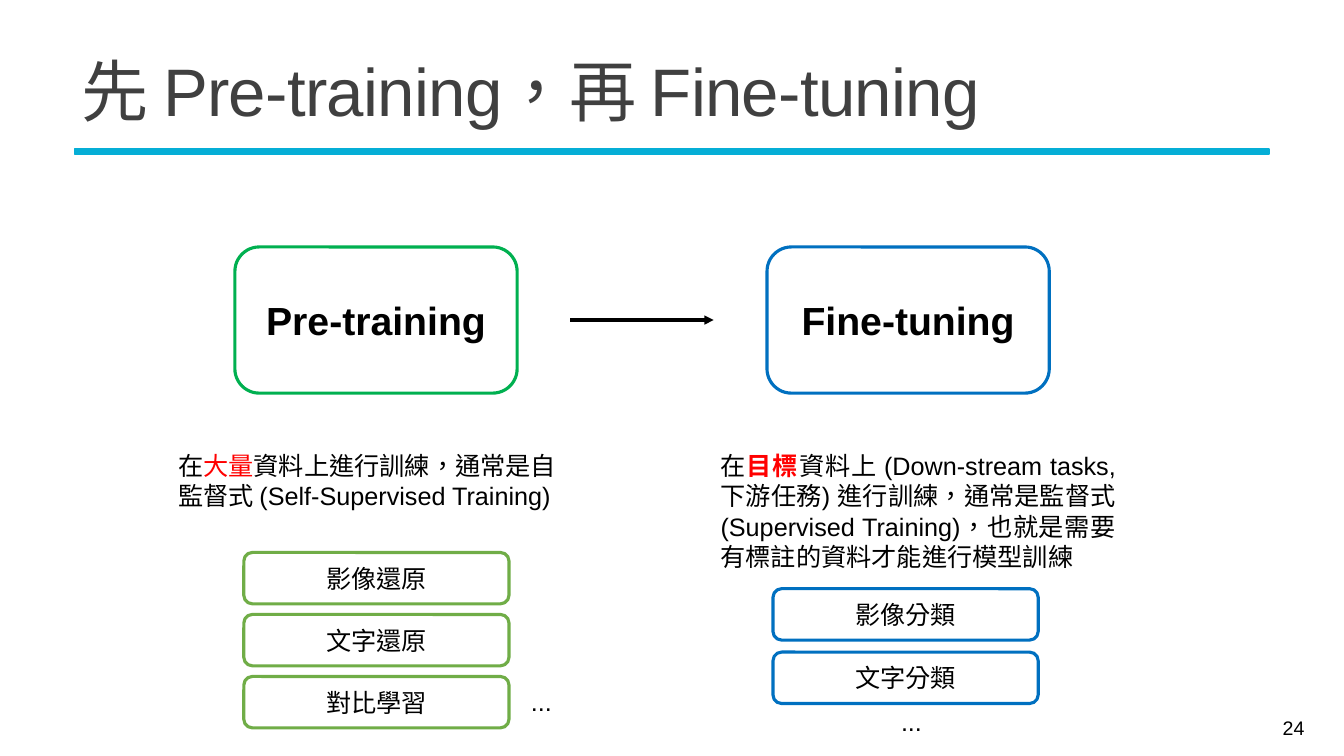
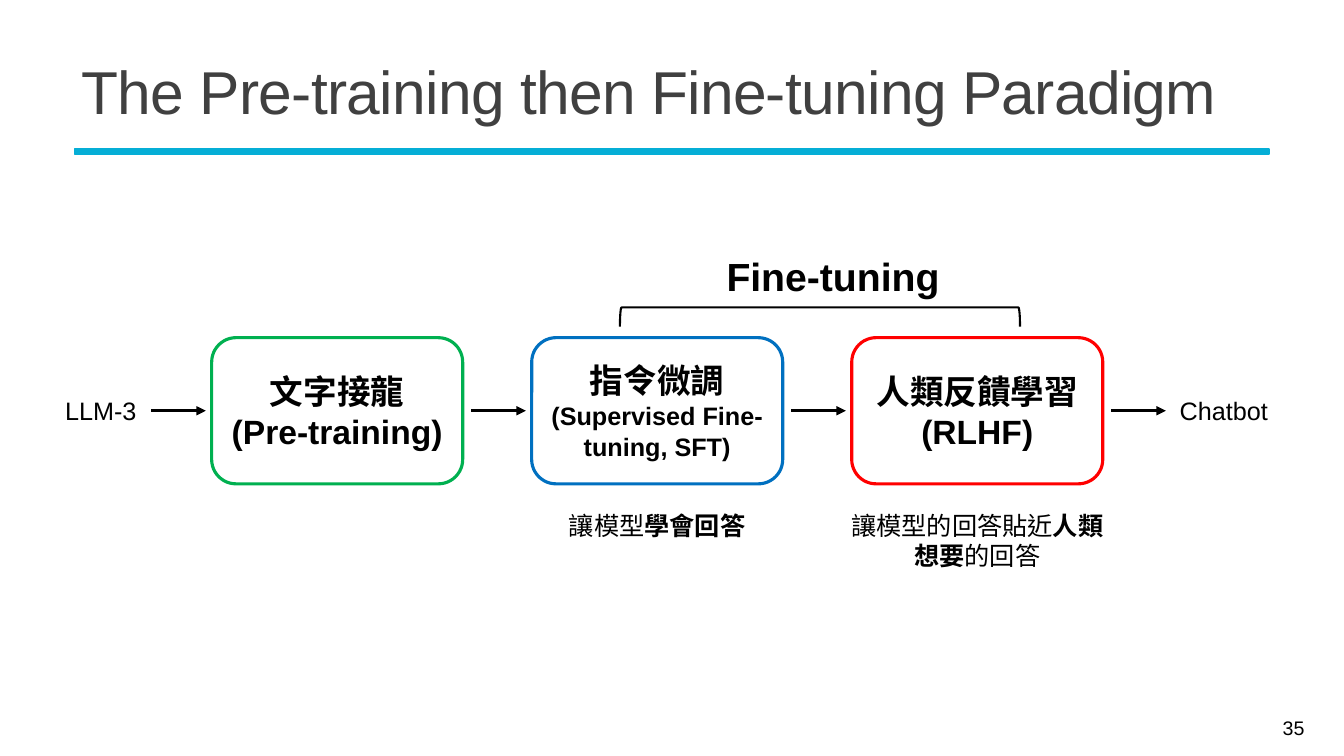
from lxml.etree import SubElement
from pptx import Presentation
from pptx.dml.color import RGBColor
from pptx.enum.shapes import MSO_CONNECTOR, MSO_SHAPE
from pptx.enum.text import MSO_ANCHOR, MSO_AUTO_SIZE, PP_ALIGN
from pptx.oxml.ns import qn
from pptx.util import Pt

COLORS = {
    "title": "404040",
    "text": "000000",
    "bar": "05AED6",
    "green": "00B050",
    "leaf": "70AD47",
    "blue": "0070C0",
    "red": "FF0000",
}
LATIN_FONT = "Arial"
CHINESE_FONT = "Noto Sans CJK TC"
BOLD = {"bold": True}
STAGE_HEIGHT = 104.4


def color(name):
    return RGBColor.from_string(COLORS[name])


def points(*lengths):
    return [Pt(length) for length in lengths]


def add_run(paragraph, text, size, color_name="text", bold=False, spacing=None):
    run = paragraph.add_run()
    run.text = text
    font_format = {"name": LATIN_FONT, "size": Pt(size), "bold": bold}
    for attribute, value in font_format.items():
        setattr(run.font, attribute, value)
    run.font.color.rgb = color(color_name)
    properties = run.font._element
    properties.set("lang", "zh-TW")
    if spacing is not None:
        properties.set("spc", str(spacing))
    SubElement(properties, qn("a:ea")).set("typeface", CHINESE_FONT)


def write_text(shape, paragraphs, size, align=PP_ALIGN.LEFT, anchor=MSO_ANCHOR.TOP,
               line_spacing=None, **defaults):
    frame = shape.text_frame
    frame_format = {"word_wrap": True, "auto_size": MSO_AUTO_SIZE.NONE, "vertical_anchor": anchor}
    for attribute, value in frame_format.items():
        setattr(frame, attribute, value)
    for index, runs in enumerate(paragraphs):
        paragraph = frame.add_paragraph() if index else frame.paragraphs[0]
        paragraph.alignment = align
        if line_spacing:
            paragraph.line_spacing = line_spacing
        for text, changes in runs:
            add_run(paragraph, text, **{"size": size, **defaults, **changes})


def add_text(slide, box, runs, size=18, **options):
    shape = slide.shapes.add_textbox(*points(*box))
    write_text(shape, [runs], size, **options)


def add_outline(slide, kind, box, color_name, width):
    shape = slide.shapes.add_shape(kind, *points(*box))
    shape.shadow.inherit = False
    shape.fill.background()
    shape.line.color.rgb = color(color_name)
    shape.line.width = Pt(width)
    return shape


def add_card(slide, box, paragraphs, color_name, size, bold=False):
    card = add_outline(slide, MSO_SHAPE.ROUNDED_RECTANGLE, box, color_name, 2.25)
    write_text(card, paragraphs, size, PP_ALIGN.CENTER, MSO_ANCHOR.MIDDLE, bold=bold)


def add_arrow(slide, left, right, y):
    arrow = slide.shapes.add_connector(MSO_CONNECTOR.STRAIGHT, *points(left, y, right, y))
    arrow.line.color.rgb = color("text")
    arrow.line.width = Pt(2.25)
    SubElement(arrow.line._get_or_add_ln(), qn("a:tailEnd")).set("type", "triangle")
    SubElement(arrow._element.spPr, qn("a:effectLst"))


def style_layout(layout, slide):
    bar = add_outline(slide, MSO_SHAPE.RECTANGLE, (53.3, 106.6, 853.2, 3.6), "bar", 1.25)
    bar.fill.solid()
    bar.fill.fore_color.rgb = color("bar")
    layout.shapes.element.append(bar.element)
    title_box = dict(zip(("left", "top", "width", "height"), points(51.1, 28.1, 859.7, 81.4)))
    for attribute, value in title_box.items():
        setattr(layout.placeholders[0], attribute, value)


def add_heading(slide, title, number, size):
    write_text(slide.shapes.title, [[(title, {})]], size, anchor=MSO_ANCHOR.MIDDLE,
               line_spacing=0.85, color_name="title", spacing=-50)
    add_text(slide, (835.9, 505.4, 103, 28.8), [(number, {})], 14,
             align=PP_ALIGN.RIGHT, anchor=MSO_ANCHOR.MIDDLE)


def add_training_column(slide, left, top, column):
    add_card(slide, (left, top, 201.6, STAGE_HEIGHT), [[(column["name"], {})]],
             column["color"], 28, bold=True)
    add_text(slide, (left + column["description_offset"], top + 141.8, 296.6, 94),
             column["description"], align=column["align"])
    task_left, task_top = column["task_offset"]
    for index, task in enumerate(column["tasks"]):
        box = (left + task_left, top + task_top + index * column["task_pitch"], 189.4, 36.7)
        add_card(slide, box, [[(task, {})]], column["task_color"], 18)
    more_left, more_top = column["more_offset"]
    add_text(slide, (left + more_left, top + more_top, 95, 28.8), [("...", {})])


def build_two_steps(slide):
    add_heading(slide, "先 Pre-training，再 Fine-tuning", "24", 48)
    pre_training = {
        "name": "Pre-training",
        "color": "green",
        "description": [
            ("在", {}),
            ("大量", {"color_name": "red"}),
            ("資料上進行訓練，通常是自監督式 (Self-Supervised Training)", {}),
        ],
        "description_offset": -47.6,
        "align": PP_ALIGN.LEFT,
        "tasks": ["影像還原", "文字還原", "對比學習"],
        "task_color": "leaf",
        "task_offset": (6.4, 218.2),
        "task_pitch": 44.3,
        "more_offset": (204.4, 310.3),
    }
    fine_tuning = {
        "name": "Fine-tuning",
        "color": "blue",
        "description": [
            ("在", {}),
            ("目標", {"color_name": "red", "bold": True}),
            ("資料上 (Down-stream tasks, 下游任務) 進行訓練，通常是監督式 "
             "(Supervised Training)，也就是需要有標註的資料才能進行模型訓練", {}),
        ],
        "description_offset": -40.3,
        "align": PP_ALIGN.JUSTIFY,
        "tasks": ["影像分類", "文字分類"],
        "task_color": "blue",
        "task_offset": (4.3, 244.1),
        "task_pitch": 45.3,
        "more_offset": (88.6, 324.7),
    }
    top = 176.4
    add_training_column(slide, 167.8, top, pre_training)
    add_training_column(slide, 547.9, top, fine_tuning)
    add_arrow(slide, 407.5, 509.8, top + STAGE_HEIGHT / 2)


def add_pipeline(slide, left, top, stages):
    pitch, width = 228.6, 179.3
    middle = top + STAGE_HEIGHT / 2
    for index, (paragraphs, color_name, caption) in enumerate(stages):
        stage_left = left + index * pitch
        add_card(slide, (stage_left, top, width, STAGE_HEIGHT), paragraphs, color_name, 24, bold=True)
        if caption:
            add_text(slide, (stage_left + width / 2 - 105.5, top + 119.5, 211, 51), caption,
                     align=PP_ALIGN.CENTER)
    for index in range(len(stages) + 1):
        arrow_left = left - 43.2 + index * pitch
        add_arrow(slide, arrow_left, arrow_left + 39, middle)
    for label, label_left in (("LLM-3", left - 130.3), ("Chatbot", left + 671.8)):
        add_text(slide, (label_left, middle - 14.4, 102.2, 28.8), [(label, {})], align=PP_ALIGN.CENTER)


def add_bracket_group(slide, left, top, width, label):
    add_text(slide, (left, top - 43.2, width + 18.7, 41), [(label, BOLD)], 28, align=PP_ALIGN.CENTER)
    depth = 13.7
    box = (left + width / 2 - depth / 2, top + depth / 2 - width / 2, depth, width)
    bracket = add_outline(slide, MSO_SHAPE.LEFT_BRACKET, box, "text", 1.5)
    bracket.rotation = 90


def build_paradigm(slide):
    add_heading(slide, "The Pre-training then Fine-tuning Paradigm", "35", 43.2)
    stages = [
        ([[("文字接龍", {})], [("(Pre-training)", {})]], "green", None),
        ([[("指令微調 ", {}), ("(Supervised Fine-tuning, SFT)", {"size": 18})]], "blue",
         [("讓模型", {}), ("學會回答", BOLD)]),
        ([[("人類反饋學習 (RLHF)", {})]], "red",
         [("讓模型的回答貼近", {}), ("人類想要", BOLD), ("的回答", {})]),
    ]
    add_pipeline(slide, 151.2, 241.2, stages)
    add_bracket_group(slide, 442.8, 219.6, 285.8, "Fine-tuning")


def main():
    presentation = Presentation()
    presentation.slide_width, presentation.slide_height = points(960, 540)
    layout = presentation.slide_layouts[5]
    slides = [presentation.slides.add_slide(layout) for _ in range(2)]
    style_layout(layout, slides[0])
    for slide, build in zip(slides, (build_two_steps, build_paradigm)):
        build(slide)
    presentation.save("out.pptx")


if __name__ == "__main__":
    main()
